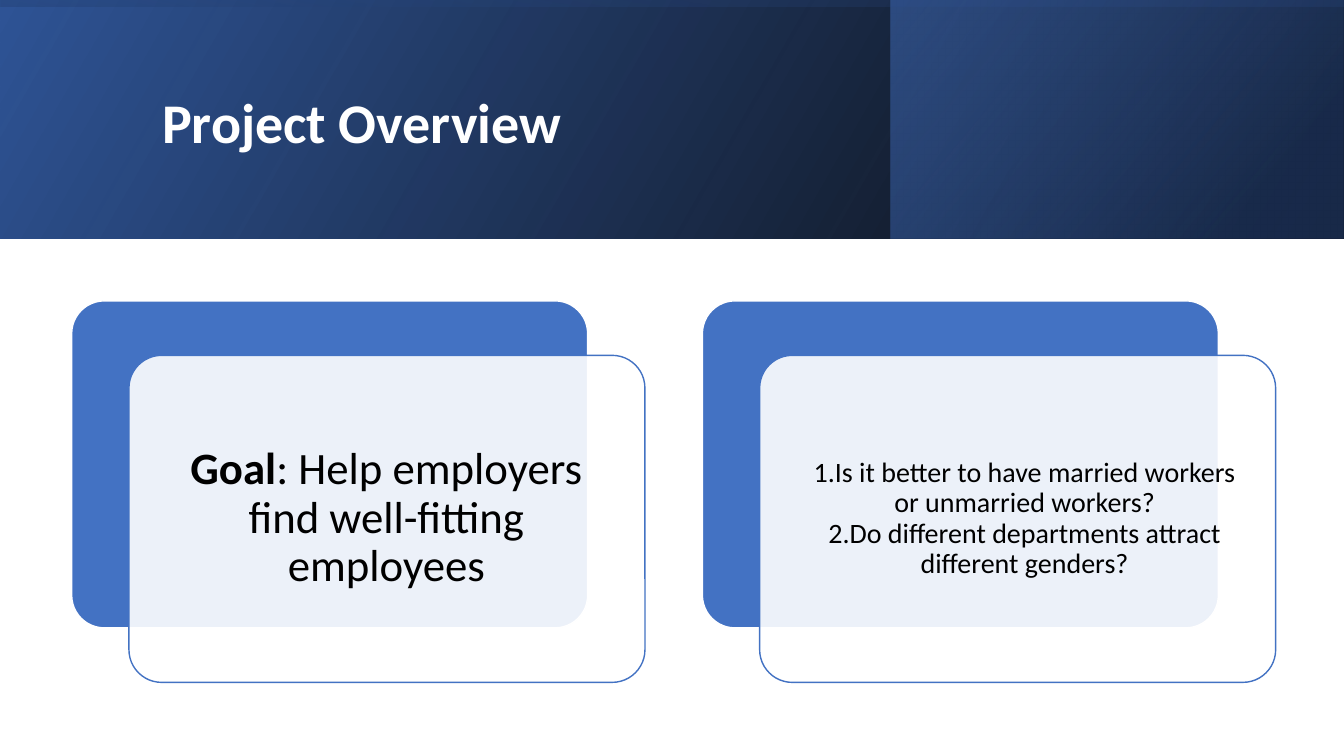
from lxml import etree
from pptx import Presentation
from pptx.dml.color import RGBColor
from pptx.enum.shapes import MSO_SHAPE
from pptx.enum.text import MSO_ANCHOR, PP_ALIGN
from pptx.oxml import parse_xml
from pptx.oxml.ns import nsdecls, qn
from pptx.util import Pt

RECT, ROUND = MSO_SHAPE.RECTANGLE, MSO_SHAPE.ROUNDED_RECTANGLE
MIDDLE, LEFT, CENTER = MSO_ANCHOR.MIDDLE, PP_ALIGN.LEFT, PP_ALIGN.CENTER
COLORS = {"white": "FFFFFF", "black": "000000", "navy": "1F3864",
          "deep": "2F5496", "blue": "4472C4", "card": "4372C3"}
W, H, BANNER_H = 960, 540, 170.6

prs = Presentation()
prs.slide_width, prs.slide_height = Pt(W), Pt(H)
s = prs.slides.add_slide(prs.slide_layouts[6])


def add_panel(kind, x, y, w, h):
    sp = s.shapes.add_shape(kind, Pt(x), Pt(y), Pt(w), Pt(h))
    sp.shadow.inherit = False
    return sp


def add_text(box, inset, size, align, paragraphs):
    tf = s.shapes.add_textbox(*(Pt(v) for v in box)).text_frame
    tf.word_wrap = True
    tf.vertical_anchor = MIDDLE
    tf.margin_left = tf.margin_right = Pt(inset[0])
    tf.margin_top = tf.margin_bottom = Pt(inset[1])
    for i, runs in enumerate(paragraphs):
        p = tf.add_paragraph() if i else tf.paragraphs[0]
        p.alignment, p.line_spacing = align, 0.9
        for text, color, bold in runs:
            r = p.add_run()
            r.text = text
            r.font.name, r.font.size, r.font.bold = "Calibri", Pt(size), bold
            r.font.color.rgb = RGBColor.from_string(COLORS[color])


# Banner: three mirrored gradient layers; stops are (position, color, opacity)
side = (W - BANNER_H) / 2
layers = [
    ((0, 0, W, BANNER_H), 0, 330, [(0, "black", 96), (100, "deep", 100)]),
    ((636.5, 0, 323, BANNER_H), 0, 320,
     [(0, "navy", 68), (19, "navy", 68), (100, "blue", 48)]),
    ((side, -side, BANNER_H, W), 270, 350,
     [(0, "deep", 16), (23, "deep", 16), (99, "black", 45), (100, "black", 45)]),
]
for box, rotation, angle, stops in layers:
    sp = add_panel(RECT, *box)
    sp.rotation = rotation
    sp.line.fill.background()
    sp.fill.background()
    spPr = sp._element.spPr
    spPr.find(qn("a:xfrm")).set("flipH", "1")
    gs = "".join(
        f'<a:gs pos="{pos * 1000}"><a:srgbClr val="{COLORS[color]}">'
        f'<a:alpha val="{alpha * 1000}"/></a:srgbClr></a:gs>'
        for pos, color, alpha in stops)
    grad = parse_xml(
        f'<a:gradFill {nsdecls("a")} rotWithShape="1"><a:gsLst>{gs}</a:gsLst>'
        f'<a:lin ang="{angle * 60000}" scaled="0"/></a:gradFill>')
    spPr.replace(spPr.find(qn("a:noFill")), grad)

# Title
add_text((108.7, 27.4, 765.4, 123.8), (7.2, 3.6), 40, LEFT,
         [[("Project Overview", "white", True)]])

# Cards: a blue back panel and a translucent front panel with text
CARD_X, CARD_Y, CARD_W, CARD_H, PITCH = 51.2, 214.9, 368.6, 233.6, 450.5
STEP_X, STEP_Y = 40.9, 38.9
cards = [
    (98.6, 32, [[("Goal", "black", True),
                 (": Help employers find well-fitting employees", "black", False)]]),
    (554.4, 20, [
        [("1.Is it better to have married workers or unmarried workers?", "black", False)],
        [("2.Do different departments attract different genders?", "black", False)]]),
]
for i, (text_x, size, paragraphs) in enumerate(cards):
    x = CARD_X + i * PITCH
    for n, (fill, line) in enumerate([("card", "white"), ("white", "card")]):
        sp = add_panel(ROUND, x + n * STEP_X, CARD_Y + n * STEP_Y, CARD_W, CARD_H)
        sp.adjustments[0] = 0.1
        sp.fill.solid()
        sp.fill.fore_color.rgb = RGBColor.from_string(COLORS[fill])
        sp.line.color.rgb = RGBColor.from_string(COLORS[line])
        sp.line.width = Pt(1)
    clr = sp._element.spPr.find(qn("a:solidFill")).find(qn("a:srgbClr"))
    etree.SubElement(clr, qn("a:alpha")).set("val", "90000")
    add_text((text_x, 260.6, 355, 220), (16.6, 16.6), size, CENTER, paragraphs)

prs.save("out.pptx")
